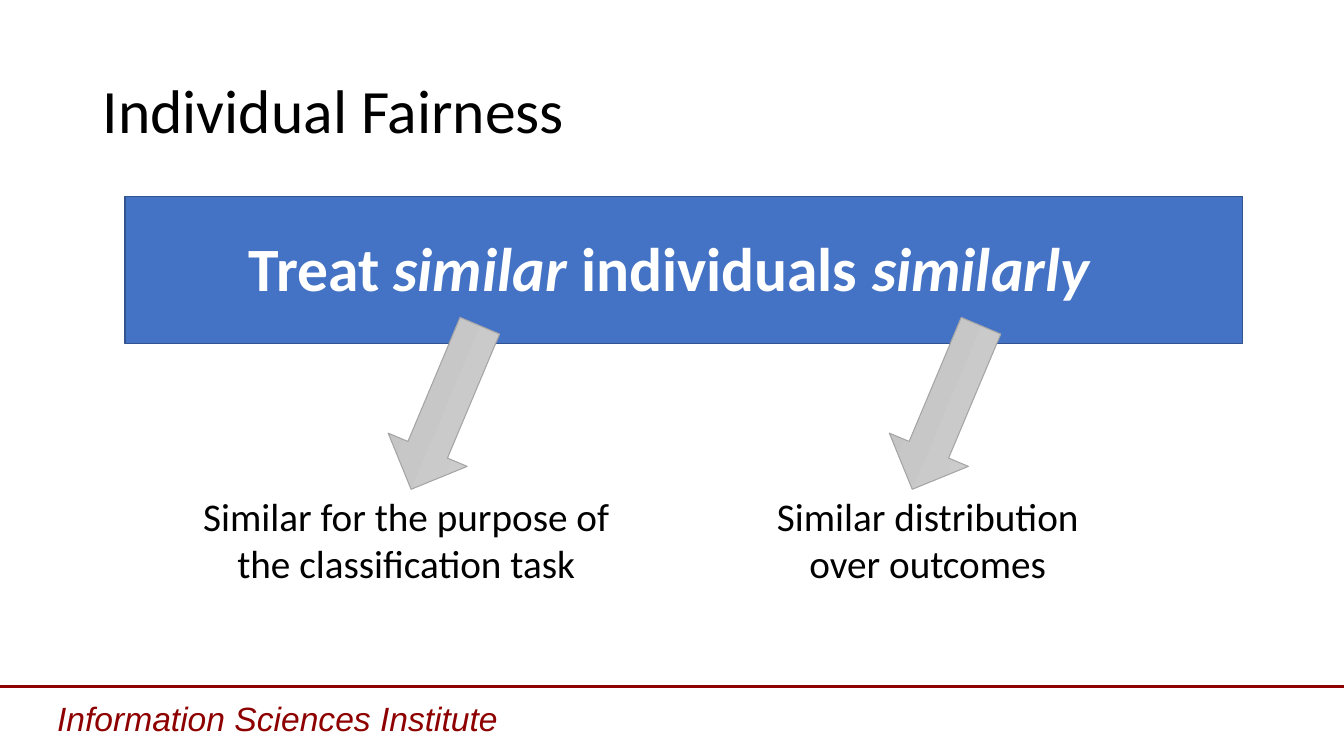
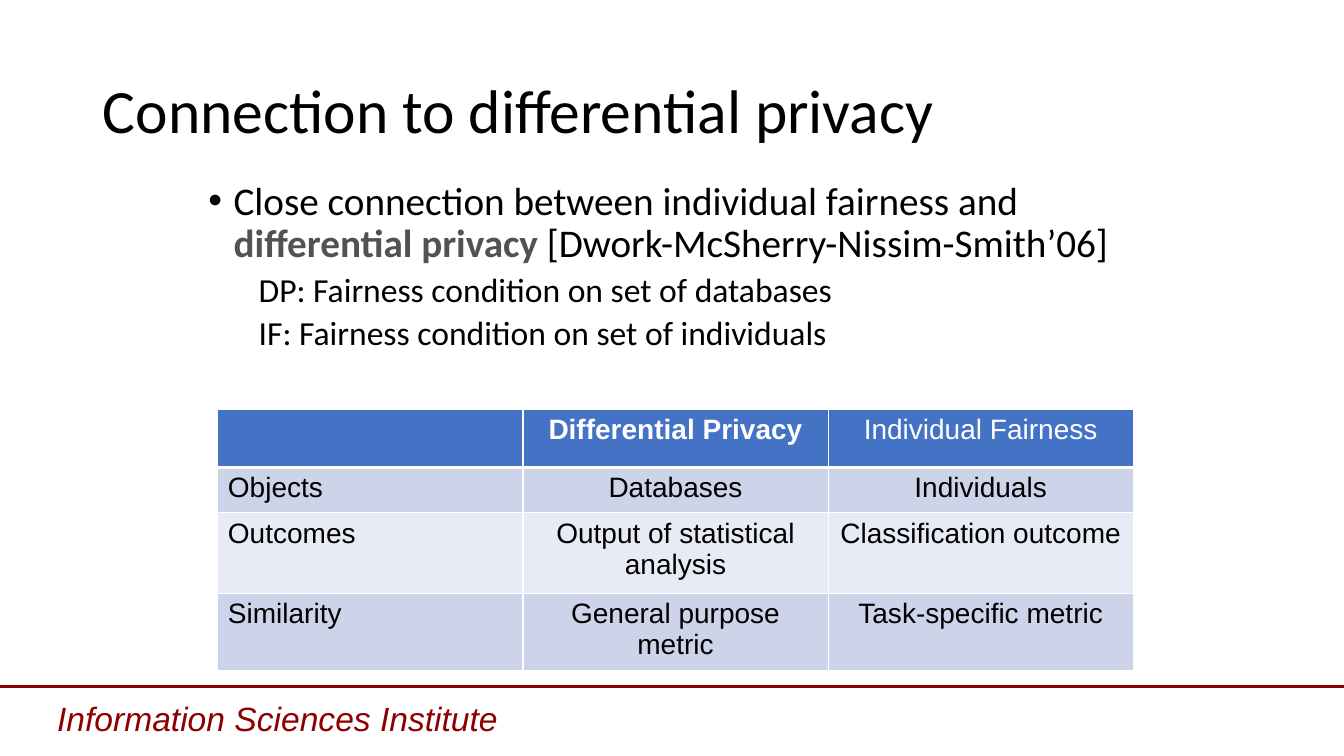
from lxml import etree
from pptx import Presentation
from pptx.dml.color import RGBColor
from pptx.enum.shapes import MSO_CONNECTOR, MSO_SHAPE
from pptx.enum.text import MSO_ANCHOR, PP_ALIGN
from pptx.oxml.ns import qn
from pptx.util import Cm, Pt

LEFT, CENTER = PP_ALIGN.LEFT, PP_ALIGN.CENTER
TOP, MIDDLE = MSO_ANCHOR.TOP, MSO_ANCHOR.MIDDLE
STRAIGHT = MSO_CONNECTOR.STRAIGHT
RECTANGLE, RIGHT_ARROW = MSO_SHAPE.RECTANGLE, MSO_SHAPE.RIGHT_ARROW

WIDTH, HEIGHT = 33.87, 19.05
BLACK, WHITE, RED = "000000", "FFFFFF", "8E0000"
BLUE, DARK_BLUE, GRAY = "4472C4", "31538F", "525252"
ROW_FILLS = ("CDD4EA", "E8EBF5")
HEADING, PLAIN = "Calibri", "Arial"


def rgb(color):
    return RGBColor.from_string(color)


def write(paragraph, text, size=28, font=HEADING, color=BLACK, bold=False,
          italic=False, align=LEFT, spacing=1.0, before=0):
    """Append a formatted run and set the paragraph's layout."""
    paragraph.alignment = align
    paragraph.line_spacing = spacing
    paragraph.space_before = Pt(before)
    run = paragraph.add_run()
    run.text = text
    run.font.size = Pt(size)
    run.font.name = font
    run.font.color.rgb = rgb(color)
    run.font.bold = bold
    run.font.italic = italic


def indent(paragraph, left, hanging=0, bullet=None):
    properties = paragraph._p.get_or_add_pPr()
    properties.set("marL", str(Cm(left)))
    properties.set("indent", str(-Cm(hanging)))
    if bullet:
        etree.SubElement(properties, qn("a:buFont"), typeface="Arial")
        etree.SubElement(properties, qn("a:buChar"), char=bullet)


class Deck:
    """The shared style and the slide being filled."""

    def __init__(self):
        self.file = Presentation()
        self.file.slide_width, self.file.slide_height = Cm(WIDTH), Cm(HEIGHT)
        self.slide = None

    def add_slide(self, title):
        self.slide = self.file.slides.add_slide(self.file.slide_layouts[6])
        self.rule(17.3)
        self.text((1.19, 17.45, 16.69, 1.3),
                  [[("Information Sciences Institute", {})]],
                  size=24, font=PLAIN, color=RED, italic=True)
        self.text((2.34, 1.02, 29.21, 3.68), [[(title, {})]],
                  anchor=MIDDLE, size=44, spacing=0.9)

    def rule(self, y):
        line = self.slide.shapes.add_connector(
            STRAIGHT, Cm(0), Cm(y), Cm(WIDTH), Cm(y))
        line.line.color.rgb = rgb(RED)
        line.line.width = Pt(2.25)
        etree.SubElement(line._element.spPr, qn("a:effectLst"))

    def text(self, box, paragraphs, anchor=TOP, **style):
        """Each paragraph is a list of (text, format changes) runs."""
        frame = self.slide.shapes.add_textbox(*map(Cm, box)).text_frame
        frame.word_wrap = True
        frame.vertical_anchor = anchor
        for index, runs in enumerate(paragraphs):
            paragraph = frame.add_paragraph() if index else frame.paragraphs[0]
            for words, changes in runs:
                write(paragraph, words, **{**style, **changes})
        return frame

    def shape(self, kind, box, line, width):
        shape = self.slide.shapes.add_shape(kind, *map(Cm, box))
        shape.shadow.inherit = False
        shape.line.color.rgb = rgb(line)
        shape.line.width = Pt(width)
        return shape

    def banner(self, box):
        banner = self.shape(RECTANGLE, box, DARK_BLUE, 1)
        banner.fill.solid()
        banner.fill.fore_color.rgb = rgb(BLUE)

    def arrow(self, box, rotation):
        arrow = self.shape(RIGHT_ARROW, box, "A5A5A5", 0.75)
        arrow.rotation = rotation
        arrow.fill.gradient()
        arrow.fill.gradient_angle = 270
        for stop, color in zip(arrow.fill.gradient_stops, ("D1D1D1", "C0C0C0")):
            stop.color.rgb = rgb(color)

    def table(self, left, top, column_width, row_heights, rows):
        columns = len(rows[0])
        frame = self.slide.shapes.add_table(
            len(rows), columns, Cm(left), Cm(top),
            Cm(column_width * columns), Cm(sum(row_heights)))
        table = frame.table
        for column in table.columns:
            column.width = Cm(column_width)
        for r, (height, labels) in enumerate(zip(row_heights, rows)):
            table.rows[r].height = Cm(height)
            for c, label in enumerate(labels):
                self.cell(table.cell(r, c), label, r, c)

    def cell(self, cell, label, row, column):
        header = row == 0
        self.borders(cell, top=3 if row == 1 else 1, bottom=3 if header else 1)
        cell.fill.solid()
        cell.fill.fore_color.rgb = rgb(BLUE if header else ROW_FILLS[(row - 1) % 2])
        if label:
            write(cell.text_frame.paragraphs[0], label, size=20, font=PLAIN,
                  color=WHITE if header else BLACK,
                  bold=header and column == 1,
                  align=CENTER if column else LEFT)

    def borders(self, cell, top, bottom):
        properties = cell._tc.get_or_add_tcPr()
        for side, width in (("L", 1), ("R", 1), ("T", top), ("B", bottom)):
            line = etree.SubElement(properties, qn("a:ln" + side), w=str(Pt(width)))
            fill = etree.SubElement(line, qn("a:solidFill"))
            etree.SubElement(fill, qn("a:srgbClr"), val=WHITE)


def individual_fairness(deck):
    deck.add_slide("Individual Fairness")
    deck.banner((3.15, 4.95, 28.17, 3.71))
    emphasis = {"italic": True}
    deck.text((6.02, 5.66, 22.3, 2.13),
              [[("Treat ", {}), ("similar", emphasis),
                (" individuals ", {}), ("similarly", emphasis)]],
              size=44, color=WHITE, bold=True)
    meanings = (
        (4.8, 10.87, 8.99, ("Similar for the purpose of", "the classification task")),
        (19.28, 8.2, 21.62, ("Similar distribution", "over outcomes")),
    )
    for left, width, arrow_left, lines in meanings:
        deck.text((left, 12.27, width, 2.64), [[(line, {})] for line in lines],
                  align=CENTER)
        deck.arrow((arrow_left, 9.19, 4.47, 2.16), 112.8)


def differential_privacy(deck):
    deck.add_slide("Connection to differential privacy")
    detail = {"size": 24, "before": 5}
    body = deck.text((5, 4.45, 24.03, 9.17), [
        [("Close connection between individual fairness and ", {}),
         ("differential privacy", {"color": GRAY, "bold": True}),
         (" [Dwork-McSherry-Nissim-Smith’06]", {})],
        [("DP: Fairness condition on set of databases", detail)],
        [("IF: Fairness condition on set of individuals", detail)],
    ], spacing=0.9)
    claim, *conditions = body.paragraphs
    indent(claim, 0.64, hanging=0.64, bullet="•")
    for condition in conditions:
        indent(condition, 1.27)
    deck.table(5.49, 10.31, 7.69, (1.47, 1.14, 2.03, 1.83), (
        ("", "Differential Privacy", "Individual Fairness"),
        ("Objects", "Databases", "Individuals"),
        ("Outcomes", "Output of statistical analysis", "Classification outcome"),
        ("Similarity", "General purpose metric", "Task-specific metric"),
    ))


def main():
    deck = Deck()
    individual_fairness(deck)
    differential_privacy(deck)
    deck.file.save("out.pptx")


if __name__ == "__main__":
    main()
